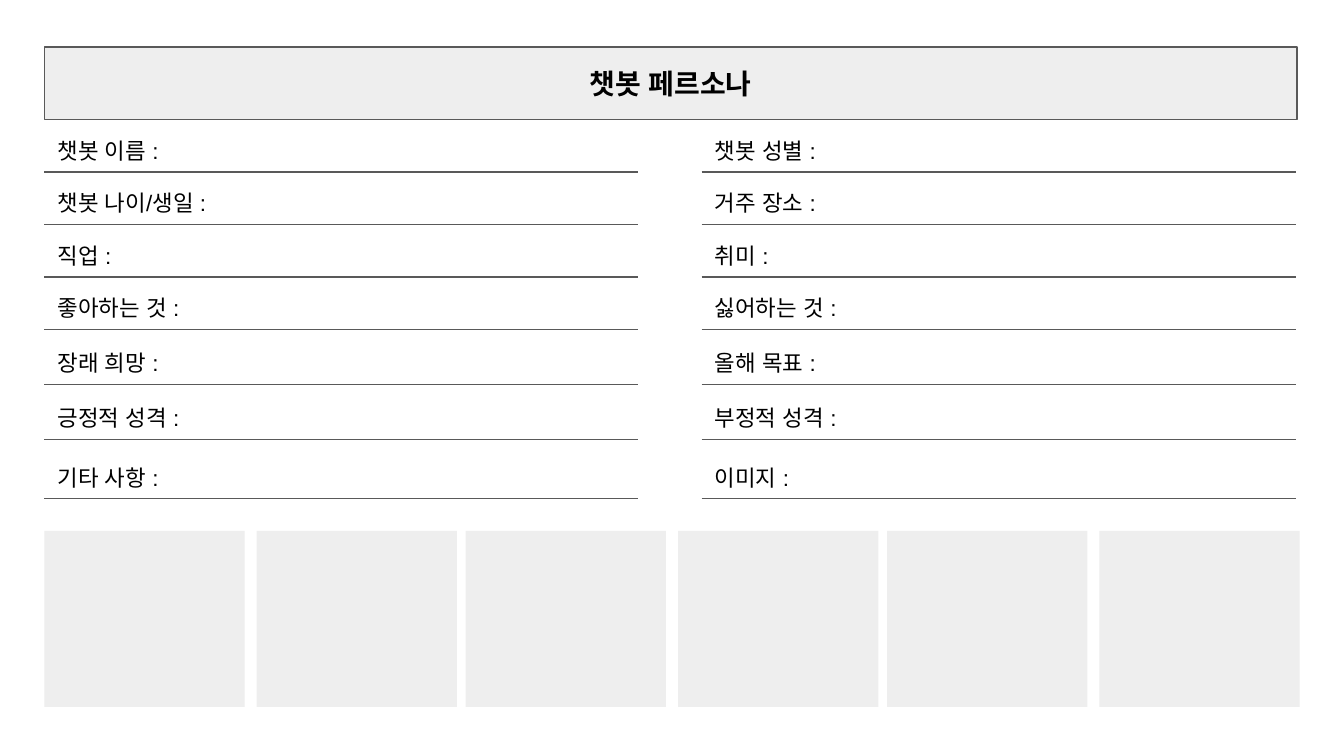
from pptx import Presentation
from pptx.dml.color import RGBColor
from pptx.enum.lang import MSO_LANGUAGE_ID
from pptx.enum.shapes import MSO_CONNECTOR, MSO_SHAPE
from pptx.enum.text import MSO_ANCHOR, PP_ALIGN
from pptx.oxml.ns import qn
from pptx.util import Inches, Pt
from lxml.etree import SubElement

COLORS = {"panel": "EEEEEE", "rule": "595959", "text": "000000"}
FONT = "Arial"
ROW_TOPS = [0.92, 1.31, 1.7, 2.09, 2.5, 2.91, 3.35]
LEFT_FIELDS = ["챗봇 이름", "챗봇 나이/생일", "직업", "좋아하는 것",
               "장래 희망", "긍정적 성격", "기타 사항"]
RIGHT_FIELDS = ["챗봇 성별", "거주 장소", "취미", "싫어하는 것",
                "올해 목표", "부정적 성격", "이미지"]


def color(name):
    """Return the named palette colour."""
    return RGBColor.from_string(COLORS[name])


def write(shape, text, size, bold=False):
    """Set one styled paragraph in a shape and return the paragraph."""
    frame = shape.text_frame
    frame.word_wrap = True
    frame.margin_left = frame.margin_right = Inches(0.1)
    frame.margin_top = frame.margin_bottom = Inches(0.1)
    frame.text = text
    para = frame.paragraphs[0]
    for span in para.runs:
        span.font.name = FONT
        span.font.size = Pt(size)
        span.font.bold = bold
        span.font.language_id = MSO_LANGUAGE_ID.KOREAN
        span.font.color.rgb = color("text")
        for script in ("a:ea", "a:cs"):
            SubElement(span._r.get_or_add_rPr(), qn(script), typeface=FONT)
    return para


def add_panel(page, left, top, width, height):
    """Add a plain grey rectangle without an outline."""
    panel = page.shapes.add_shape(MSO_SHAPE.RECTANGLE, Inches(left), Inches(top),
                                  Inches(width), Inches(height))
    panel.shadow.inherit = False
    panel.fill.solid()
    panel.fill.fore_color.rgb = color("panel")
    panel.line.fill.background()
    return panel


def add_title(page, left, top, width, height):
    """Add the outlined title bar."""
    bar = add_panel(page, left, top, width, height)
    bar.line.color.rgb = color("rule")
    bar.line.width = Pt(0.75)
    bar.text_frame.vertical_anchor = MSO_ANCHOR.MIDDLE
    write(bar, "챗봇 페르소나", 15, bold=True).alignment = PP_ALIGN.CENTER


def add_field(page, label, left, top, width):
    """Add a label with the rule to write on below it."""
    box = page.shapes.add_textbox(Inches(left), Inches(top), Inches(width), Inches(0.39))
    write(box, f"{label} :", 12)
    rule_top = Inches(top + 0.36)
    rule = page.shapes.add_connector(MSO_CONNECTOR.STRAIGHT, Inches(left), rule_top,
                                     Inches(left + width), rule_top)
    rule.line.color.rgb = color("rule")
    rule.line.width = Pt(0.75)
    SubElement(rule._element.spPr, qn("a:effectLst"))


def add_fields(page, labels, left, width):
    """Add one column of fields."""
    for label, top in zip(labels, ROW_TOPS):
        add_field(page, label, left, top, width)


def add_image_slots(page, left, top, width, height, pairs=3):
    """Add a row of empty slots set in equally spaced pairs."""
    slot_width, offset = 1.49, 1.58
    step = (width - offset - slot_width) / (pairs - 1)
    for index in range(pairs):
        for shift in (0, offset):
            add_panel(page, left + index * step + shift, top, slot_width, height)


def main():
    """Build and save the persona sheet."""
    deck = Presentation()
    deck.slide_width = Inches(10)
    deck.slide_height = deck.slide_width * 9 // 16
    page = deck.slides.add_slide(deck.slide_layouts[6])
    add_title(page, 0.33, 0.35, 9.32, 0.54)
    add_fields(page, LEFT_FIELDS, 0.33, 4.42)
    add_fields(page, RIGHT_FIELDS, 5.22, 4.42)
    add_image_slots(page, 0.33, 3.95, 9.34, 1.31)
    deck.save("out.pptx")


if __name__ == "__main__":
    main()
